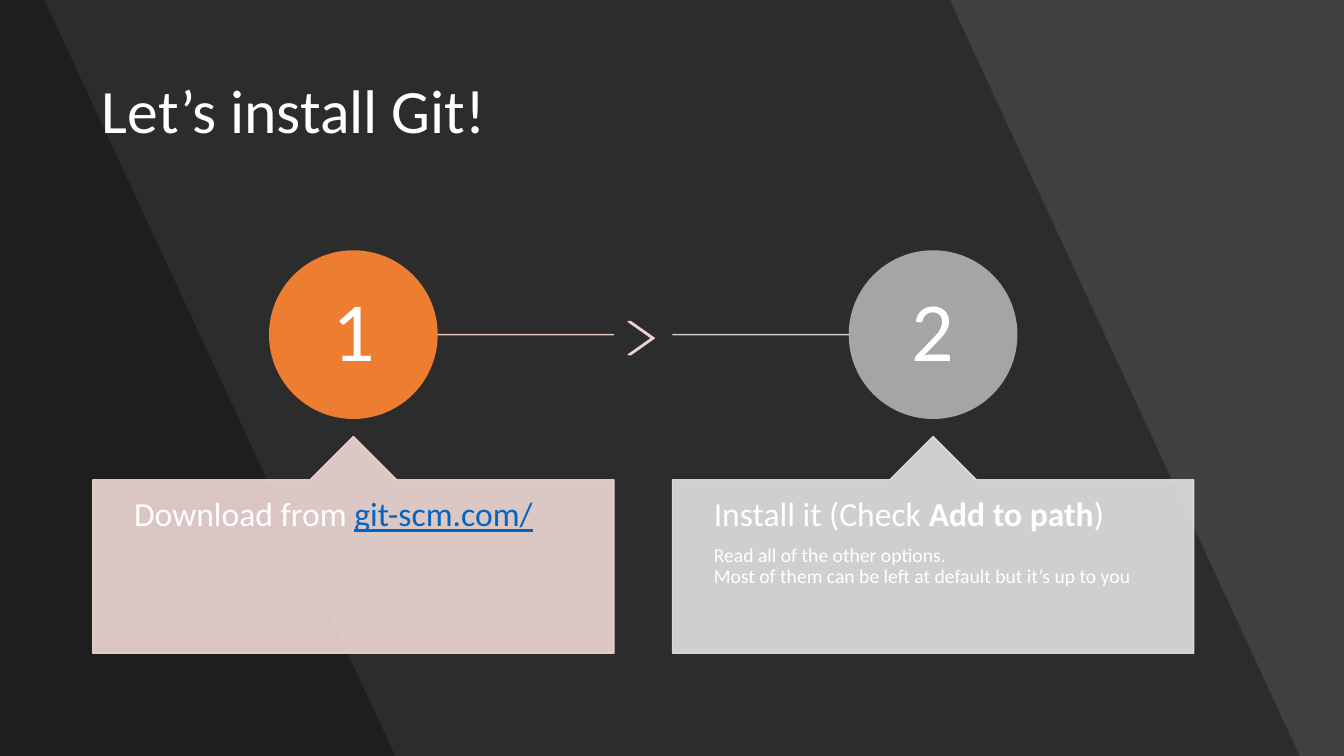
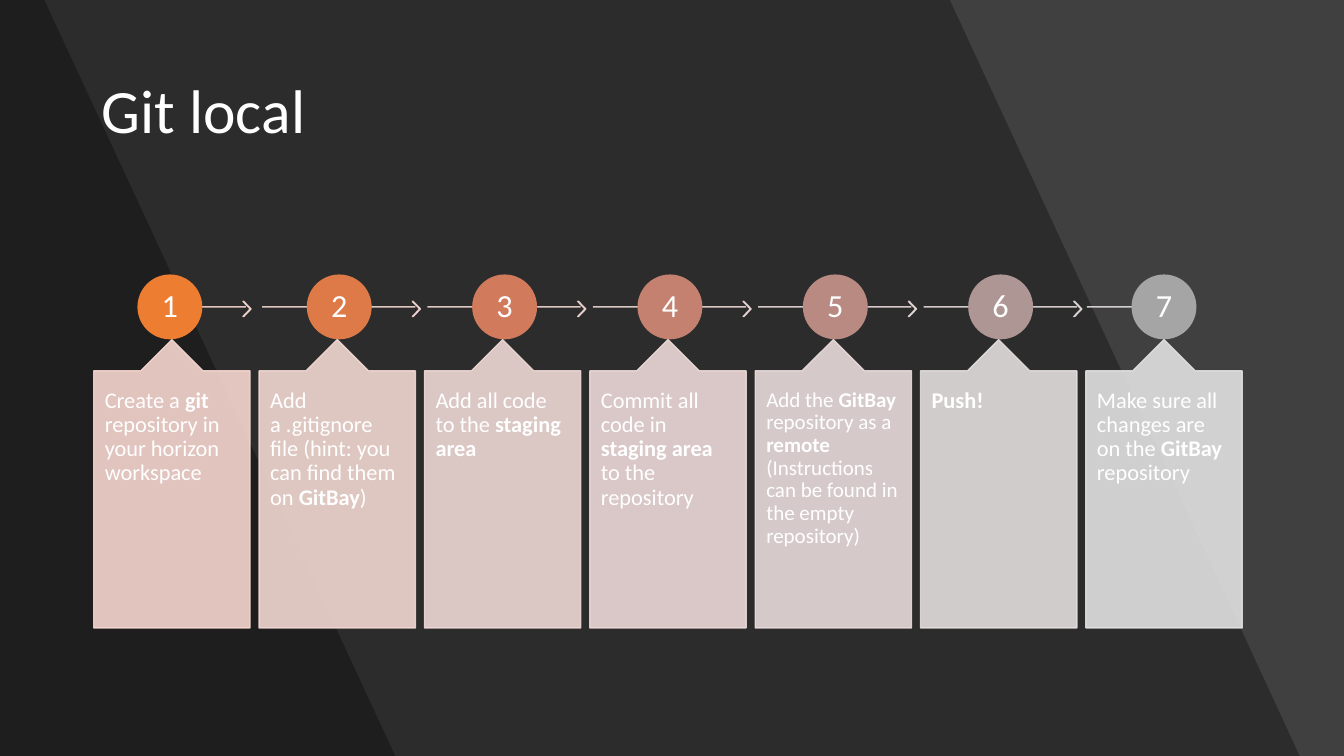
"""Build two dark slides that explain Git as numbered flows of steps."""
from dataclasses import dataclass

from lxml.etree import SubElement
from pptx import Presentation
from pptx.dml.color import RGBColor
from pptx.enum.shapes import MSO_CONNECTOR, MSO_SHAPE
from pptx.enum.text import MSO_ANCHOR, PP_ALIGN
from pptx.oxml.ns import qn
from pptx.util import Inches, Pt

WIDTH, HEIGHT = 13.33, 7.5
FONT = "Calibri"
WHITE, BLACK, BACKDROP, LINK = "FFFFFF", "000000", "404040", "0563C1"
BAND_EDGES = ((70.67, 96.7), (3.3, 29.41))
BAND_OPACITY, FLOW_OPACITY = 30, 90


@dataclass(frozen=True)
class Step:
    ring: str
    wire: str
    chevron: str
    panel: str
    body: str
    link: str = ""
    notes: tuple[str, ...] = ()
    size: int = 16
    shift: float = 0.02


@dataclass(frozen=True)
class Flow:
    title: str
    left: float
    pitch: float
    column: float
    panel_top: float
    panel_height: float
    panel_inset: float
    ring_top: float
    ring: float
    ring_size: int
    chevron_box: tuple[float, float, float]
    chevron_gap: float
    wire_start: float
    wire_end: float
    steps: tuple[Step, ...]


INSTALL = Flow(
    "Let’s install Git!", left=0.92, pitch=5.75, column=5.17,
    panel_top=4.33, panel_height=2.15, panel_inset=0.41,
    ring_top=2.49, ring=1.66, ring_size=60,
    chevron_box=(3.19, 0.26, 0.33), chevron_gap=0.14, wire_start=0, wire_end=0,
    steps=(
        Step("ED7D31", "F8D7CE", "F4D7D1", "EFD8D5", "Download from ",
             link="git-scm.com/", size=24, shift=0),
        Step("A5A5A5", "EADAD9", "", "E1E1E1", "Install it (Check *Add to path*)",
             notes=("Read all of the other options.",
                    "Most of them can be left at default but it’s up to you"),
             size=24, shift=0),
    ),
)

LOCAL = Flow(
    "Git local", left=0.93, pitch=1.64, column=1.55,
    panel_top=3.37, panel_height=2.86, panel_inset=0.11,
    ring_top=2.73, ring=0.63, ring_size=23,
    chevron_box=(2.99, 0.08, 0.15), chevron_gap=-0.05, wire_start=0.01, wire_end=-0.02,
    steps=(
        Step("ED7D31", "F8D7CE", "F7D7CE", "F6D7CF",
             "Create a *git* repository in your horizon workspace", shift=-0.02),
        Step("DE7A47", "F5D7D0", "F4D7D1", "F2D8D2",
             "Add a .gitignore file (hint: you can find them on *GitBay*)"),
        Step("D17B5C", "F1D8D3", "F0D8D4", "EFD8D5", "Add all code to the *staging area*"),
        Step("C48170", "EED9D6", "EDD9D7", "ECDAD8",
             "Commit all code in *staging area *to the repository"),
        Step("B98A82", "EADAD9", "E9DBDA", "E8DCDB",
             "Add the *GitBay *repository as a *remote* "
             "(Instructions can be found in the empty repository)", size=15),
        Step("AE9694", "E7DCDC", "E6DDDD", "E4DEDE", "*Push!*"),
        Step("A5A5A5", "E3DFDF", "", "E1E1E1",
             "Make sure all changes are on the *GitBay* repository", shift=0),
    ),
)


def rgb(value: str) -> RGBColor:
    """Turn a hex string into a colour."""
    return RGBColor.from_string(value)


def across(percent: float) -> int:
    """Measure a share of the slide's width."""
    return Inches(WIDTH * percent / 100)


def down(percent: float) -> int:
    """Measure a share of the slide's height."""
    return Inches(HEIGHT * percent / 100)


def fade(shape, opacity: int) -> None:
    """Make every colour set on a shape partly transparent."""
    for colour in list(shape.element.spPr.iter(qn("a:srgbClr"))):
        SubElement(colour, qn("a:alpha")).set("val", str(opacity * 1000))


def style_paragraph(paragraph, size: int) -> None:
    """Give a paragraph the white font and tight spacing of the deck."""
    paragraph.font.name = FONT
    paragraph.font.size = Pt(size)
    paragraph.font.color.rgb = rgb(WHITE)
    paragraph.line_spacing = 0.9


def add_preset(slide, preset, box: tuple[float, float, float, float],
               colour: str, opacity: int = 100):
    """Draw a preset shape in one colour, with its box in inches."""
    shape = slide.shapes.add_shape(preset, *map(Inches, box))
    shape.shadow.inherit = False
    shape.fill.solid()
    shape.fill.fore_color.rgb = rgb(colour)
    shape.line.color.rgb = rgb(colour)
    shape.line.width = Pt(1)
    if opacity < 100:
        fade(shape, opacity)
    return shape


def set_insets(frame, side: float, end: float) -> None:
    """Set the margins of a text frame in inches."""
    frame.word_wrap = True
    frame.margin_left = frame.margin_right = Inches(side)
    frame.margin_top = frame.margin_bottom = Inches(end)


def add_band(slide, top_edge: float, bottom_edge: float) -> None:
    """Darken the slide from its left side to a slanted edge."""
    outline = slide.shapes.build_freeform(0, 0)
    outline.add_line_segments([(across(top_edge), 0), (across(bottom_edge), down(100)),
                               (0, down(100))], close=True)
    band = outline.convert_to_shape()
    band.shadow.inherit = False
    band.fill.solid()
    band.fill.fore_color.rgb = rgb(BLACK)
    band.line.fill.background()
    fade(band, BAND_OPACITY)


def add_titled_slide(prs, heading: str):
    """Add a slide with the shared bands and title."""
    slide = prs.slides.add_slide(prs.slide_layouts[5])
    for edges in BAND_EDGES:
        add_band(slide, *edges)
    title = slide.shapes.title
    title.element.getparent().append(title.element)
    title.left, title.top = across(6.83), down(5.33)
    title.width, title.height = across(86.35), down(19.33)
    title.text_frame.text = heading
    title.text_frame.vertical_anchor = MSO_ANCHOR.MIDDLE
    paragraph = title.text_frame.paragraphs[0]
    paragraph.alignment = PP_ALIGN.LEFT
    style_paragraph(paragraph, 44)
    return slide


def add_wire(slide, start: float, end: float, level: float, colour: str) -> None:
    """Draw a thin horizontal line between two steps."""
    wire = slide.shapes.add_connector(MSO_CONNECTOR.STRAIGHT, Inches(start), Inches(level),
                                      Inches(end), Inches(level))
    wire.line.color.rgb = rgb(colour)
    wire.line.width = Pt(1)
    fade(wire, FLOW_OPACITY)
    SubElement(wire.element.spPr, qn("a:effectLst"))


def add_ring(slide, flow: Flow, step: Step, centre: float, number: int) -> None:
    """Draw the numbered circle of a step."""
    ring = add_preset(slide, MSO_SHAPE.OVAL,
                      (centre - flow.ring / 2, flow.ring_top, flow.ring, flow.ring), step.ring)
    frame = ring.text_frame
    set_insets(frame, 0.02, 0.02)
    frame.vertical_anchor = MSO_ANCHOR.MIDDLE
    frame.text = str(number)
    frame.paragraphs[0].alignment = PP_ALIGN.CENTER
    style_paragraph(frame.paragraphs[0], flow.ring_size)


def add_panel(slide, flow: Flow, step: Step, left: float) -> None:
    """Draw the callout that holds the wording of a step."""
    panel = add_preset(slide, MSO_SHAPE.UP_ARROW_CALLOUT,
                       (left, flow.panel_top, flow.column, flow.panel_height),
                       step.panel, FLOW_OPACITY)
    for index, share in enumerate((0.5, 0.2, 0.2, 1)):
        panel.adjustments[index] = share
    frame = panel.text_frame
    set_insets(frame, flow.panel_inset, 0.18)
    frame.vertical_anchor = MSO_ANCHOR.TOP
    body = frame.paragraphs[0]
    body.alignment = PP_ALIGN.LEFT
    style_paragraph(body, step.size)
    body.space_after = Pt(round(step.size * 0.35))
    for index, words in enumerate(step.body.split("*")):
        if words:
            run = body.add_run()
            run.text = words
            if index % 2:
                run.font.bold = True
    if step.link:
        address = body.add_run()
        address.text = step.link
        address.font.underline = True
        address.font.color.rgb = rgb(LINK)
    if step.notes:
        notes = frame.add_paragraph()
        notes.text = "\v".join(step.notes)
        notes.alignment = PP_ALIGN.LEFT
        style_paragraph(notes, 14)


def add_flow(prs, flow: Flow) -> None:
    """Draw a slide whose steps run from left to right."""
    slide = add_titled_slide(prs, flow.title)
    level = flow.ring_top + flow.ring / 2
    chevron_top, chevron_width, chevron_height = flow.chevron_box
    last = len(flow.steps)
    for number, step in enumerate(flow.steps, start=1):
        left = flow.left + (number - 1) * flow.pitch
        right = left + flow.column
        centre = left + flow.column / 2 + step.shift
        start = centre if number == 1 else left + flow.wire_start + step.shift
        end = centre if number == last else right + flow.wire_end + step.shift
        add_wire(slide, start, end, level, step.wire)
        if step.chevron:
            chevron = add_preset(slide, MSO_SHAPE.CHEVRON,
                                 (right + flow.chevron_gap + step.shift, chevron_top,
                                  chevron_width, chevron_height), step.chevron, FLOW_OPACITY)
            chevron.adjustments[0] = 0.9
        add_ring(slide, flow, step, centre, number)
        add_panel(slide, flow, step, left)


def main() -> None:
    """Build and save the deck."""
    prs = Presentation()
    prs.slide_width, prs.slide_height = Inches(WIDTH), Inches(HEIGHT)
    backdrop = prs.slide_master.background.fill
    backdrop.solid()
    backdrop.fore_color.rgb = rgb(BACKDROP)
    for flow in (INSTALL, LOCAL):
        add_flow(prs, flow)
    prs.save("out.pptx")


if __name__ == "__main__":
    main()
